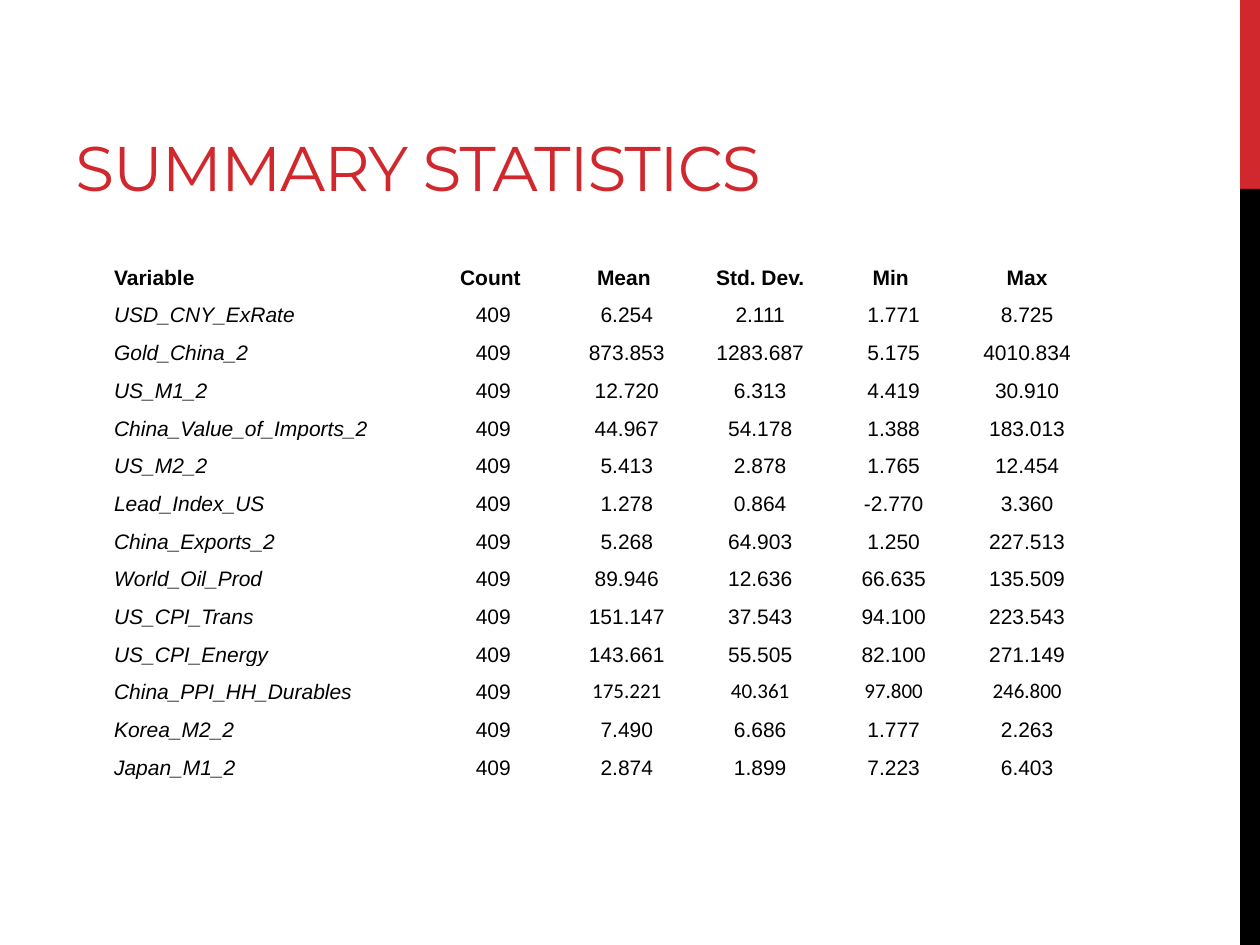
from pptx import Presentation
from pptx import util as u
from pptx.dml import color
from pptx.enum import shapes, text

THEME = {
    "red": color.RGBColor.from_string("D1282E"),
    "black": color.RGBColor.from_string("000000"),
    "title_font": "Montserrat",
    "body_font": "Arial",
    "alt_font": "Calibri",
    "title_size": u.Pt(36),
    "body_size": u.Pt(12),
}

HEADER = ["Variable", "Count ", "Mean ", "Std. Dev.", "Min ", "Max"]
COUNT = "409"
STATS = [
    ("USD_CNY_ExRate", "6.254", "2.111", "1.771", "8.725"),
    ("Gold_China_2", "873.853", "1283.687", "5.175", "4010.834"),
    ("US_M1_2", "12.720", "6.313", "4.419", "30.910"),
    ("China_Value_of_Imports_2", "44.967", "54.178", "1.388", "183.013"),
    ("US_M2_2", "5.413", "2.878", "1.765", "12.454"),
    ("Lead_Index_US", "1.278", "0.864", "-2.770", "3.360"),
    ("China_Exports_2", "5.268", "64.903", "1.250", "227.513"),
    ("World_Oil_Prod", "89.946", "12.636", "66.635", "135.509"),
    ("US_CPI_Trans", "151.147", "37.543", "94.100", "223.543"),
    ("US_CPI_Energy", "143.661", "55.505", "82.100", "271.149"),
    ("China_PPI_HH_Durables", "175.221", "40.361", "97.800", "246.800"),
    ("Korea_M2_2", "7.490", "6.686", "1.777", "2.263"),
    ("Japan_M1_2", "2.874", "1.899", "7.223", "6.403"),
]
ALT_FONT_VARIABLE = "China_PPI_HH_Durables"

prs = Presentation()
prs.slide_width, prs.slide_height = u.Cm(25.4), u.Cm(19.05)
s = prs.slides.add_slide(prs.slide_layouts[6])

for top, height, fill in ((0, 3.81, "red"), (3.81, 15.24, "black")):
    sp = s.shapes.add_shape(shapes.MSO_SHAPE.RECTANGLE,
                            u.Cm(25), u.Cm(top), u.Cm(0.4), u.Cm(height))
    sp.shadow.inherit = False
    sp.fill.solid()
    sp.fill.fore_color.rgb = THEME[fill]
    sp.line.fill.background()

tf = s.shapes.add_textbox(u.Cm(1.27), u.Cm(0.43), u.Cm(16.08), u.Cm(3.81)).text_frame
tf.word_wrap = True
tf.vertical_anchor = text.MSO_ANCHOR.BOTTOM
tf.text = "SUMMARY STATISTICS"
r = tf.paragraphs[0].runs[0]
r.font.name, r.font.size = THEME["title_font"], THEME["title_size"]
r.font.color.rgb = THEME["red"]
r.font._element.set("spc", "-60")

rows = [HEADER] + [[name, COUNT, *values] for name, *values in STATS]
widths = [6.48] + [2.69] * 5
row_height = 0.76
tbl = s.shapes.add_table(len(rows), len(widths), u.Cm(2.12), u.Cm(5.08),
                         u.Cm(sum(widths)), u.Cm(row_height * len(rows))).table
tbl.first_row = tbl.horz_banding = False
for col, width in zip(tbl.columns, widths):
    col.width = u.Cm(width)

for i, row in enumerate(rows):
    tbl.rows[i].height = u.Cm(row_height)
    for j, value in enumerate(row):
        cell = tbl.cell(i, j)
        cell.fill.background()
        cell.margin_left = cell.margin_right = u.Cm(0.18)
        cell.margin_top = cell.margin_bottom = 0
        cell.vertical_anchor = text.MSO_ANCHOR.BOTTOM
        cell.text_frame.text = value
        p = cell.text_frame.paragraphs[0]
        p.line_spacing = 1.15
        p.alignment = text.PP_ALIGN.CENTER if j else text.PP_ALIGN.LEFT
        r = p.runs[0]
        alt = row[0] == ALT_FONT_VARIABLE and j > 1
        r.font.name = THEME["alt_font" if alt else "body_font"]
        r.font.size = THEME["body_size"]
        r.font.color.rgb = THEME["black"]
        r.font.bold = i == 0
        r.font.italic = i > 0 and j == 0

prs.save("out.pptx")
